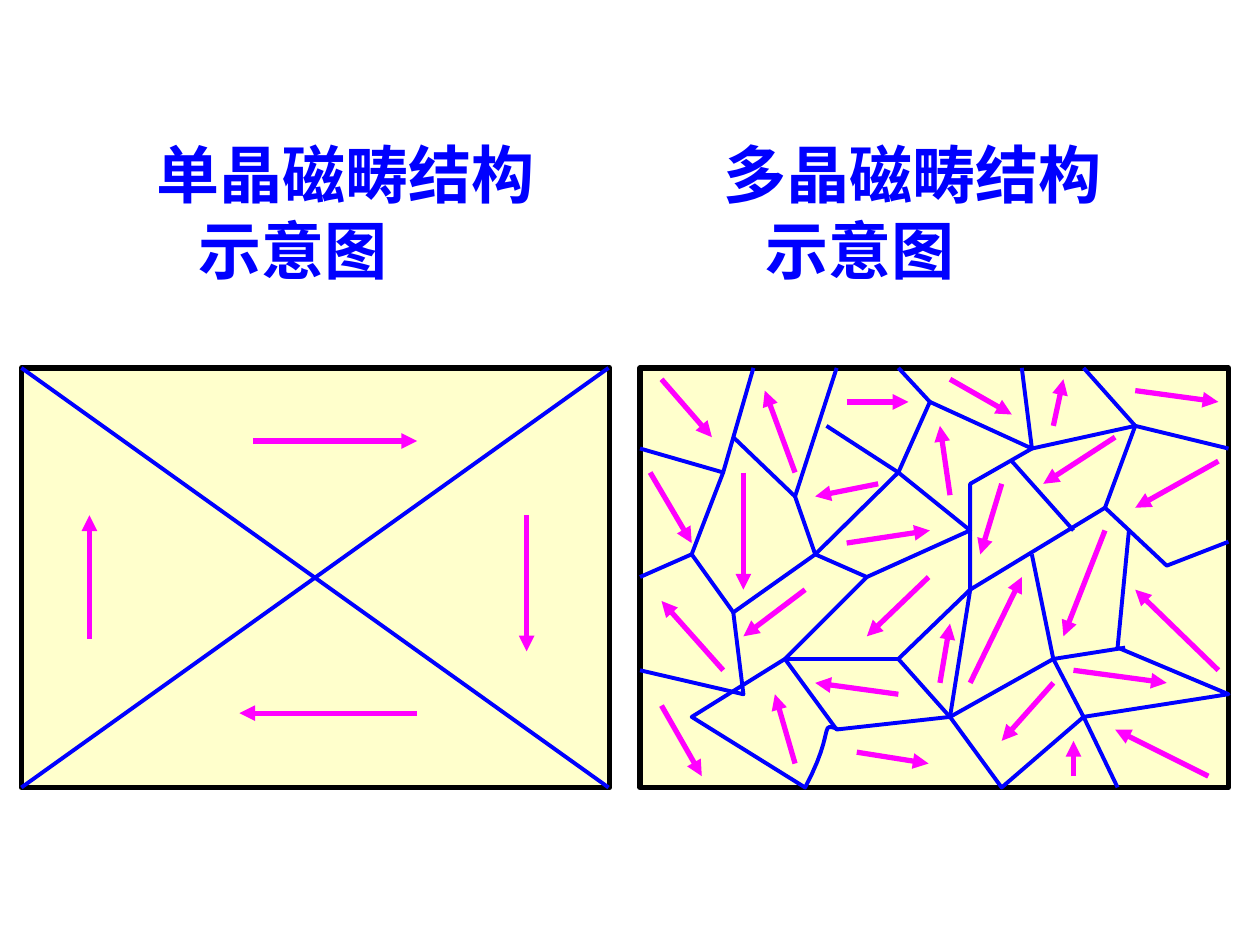
"""Build a slide comparing magnetic domains in single-crystal and polycrystalline material."""

from lxml.etree import SubElement
from pptx import Presentation
from pptx.dml.color import RGBColor
from pptx.enum.shapes import MSO_CONNECTOR, MSO_SHAPE
from pptx.oxml.ns import qn
from pptx.util import Pt

PX = 9144
COLORS = {"grain": "FFFFCC", "frame": "000000", "wall": "0000FF", "moment": "FF00FF"}
FONT = "TeX Gyre Bonum"
PANEL_TOP, PANEL_WIDTH, PANEL_HEIGHT = 292, 467, 333


def style_line(shape, color, width):
    shape.line.color.rgb = RGBColor.from_string(COLORS[color])
    shape.line.width = Pt(width)
    SubElement(shape._element.spPr, qn("a:effectLst"))


def add_line(shapes, ends, color, width):
    connector = shapes.add_connector(
        MSO_CONNECTOR.STRAIGHT, *[value * PX for point in ends for value in point]
    )
    style_line(connector, color, width)
    return connector


curve = [(639, 625), (664, 578), (649, 573), (666, 579)]
curve_points = []
for step in range(1, 13):
    t = step / 12
    weights = [(1 - t) ** 3, 3 * t * (1 - t) ** 2, 3 * t**2 * (1 - t), t**3]
    curve_points.append(
        tuple(sum(w * point[axis] for w, point in zip(weights, curve)) for axis in (0, 1))
    )

poly_walls = [
    [(508, 356), (574, 375), (598, 292)],
    [(582, 347), (631, 394), (664, 292)],
    [(574, 375), (549, 440), (508, 458)],
    [(549, 440), (582, 486), (647, 440), (631, 394)],
    [(656, 338), (713, 375), (647, 440)],
    [(713, 375), (770, 421), (688, 458), (647, 440)],
    [(713, 292), (738, 319), (713, 375)],
    [(738, 319), (819, 356), (811, 292)],
    [(819, 356), (770, 384), (770, 421)],
    [(901, 338), (975, 356)],
    [(877, 403), (926, 449), (975, 430)],
    [(770, 421), (770, 468), (877, 403)],
    [(819, 440), (836, 523), (754, 569), (713, 523), (770, 468)],
    [(688, 458), (623, 523), (713, 523)],
    [(896, 421), (887, 514), (975, 551), (860, 569), (887, 625)],
    [(893, 514), (836, 523), (860, 569), (795, 625), (754, 569),
     (664, 579), (623, 523), (549, 569), (639, 625), *curve_points],
    [(582, 486), (590, 551), (508, 532)],
    [(877, 403), (901, 338), (860, 292)],
    [(901, 338), (819, 356)],
    [(803, 366), (852, 421)],
    [(770, 468), (754, 569)],
]
poly_moments = [
    [(525, 301), (565, 347)], [(631, 375), (607, 310)], [(672, 319), (721, 319)],
    [(639, 468), (590, 505)], [(590, 375), (590, 468)], [(574, 532), (525, 477)],
    [(516, 375), (549, 431)], [(697, 384), (647, 394)], [(672, 431), (738, 421)],
    [(754, 301), (803, 329)], [(754, 393), (746, 338)], [(795, 384), (778, 440)],
    [(737, 458), (688, 505)], [(746, 542), (754, 495)], [(770, 542), (811, 458)],
    [(877, 421), (844, 505)], [(967, 532), (901, 468)], [(885, 347), (828, 384)],
    [(967, 366), (901, 403)], [(901, 310), (967, 319)], [(836, 338), (844, 301)],
    [(631, 606), (615, 551)], [(525, 560), (557, 616)], [(713, 551), (647, 542)],
    [(680, 597), (737, 606)], [(836, 542), (795, 588)], [(852, 532), (926, 542)],
    [(852, 616), (852, 588)], [(959, 616), (885, 579)],
]
single_walls = [[(17, 292), (483, 625)], [(483, 292), (17, 625)]]
single_moments = [
    [(201, 350), (331, 350)], [(71, 507), (71, 409)],
    [(418, 409), (418, 517)], [(331, 566), (190, 566)],
]
panels = [(508, poly_walls, poly_moments), (17, single_walls, single_moments)]
headings = [(114, "单晶磁畴结构"), (564, "多晶磁畴结构")]

presentation = Presentation()
presentation.slide_width = 1000 * PX
presentation.slide_height = 750 * PX
slide = presentation.slides.add_slide(presentation.slide_layouts[6])

for left, walls, moments in panels:
    shapes = slide.shapes.add_group_shape().shapes
    frame = shapes.add_shape(
        MSO_SHAPE.RECTANGLE, left * PX, PANEL_TOP * PX, PANEL_WIDTH * PX, PANEL_HEIGHT * PX
    )
    frame.fill.solid()
    frame.fill.fore_color.rgb = RGBColor.from_string(COLORS["grain"])
    style_line(frame, "frame", 3)

    for wall in walls:
        if len(wall) == 2:
            add_line(shapes, wall, "wall", 2.25)
            continue
        points = [(round(x * PX), round(y * PX)) for x, y in wall]
        builder = shapes.build_freeform(*points[0])
        builder.add_line_segments(points[1:], close=False)
        boundary = builder.convert_to_shape()
        boundary.fill.background()
        style_line(boundary, "wall", 2.25)

    for moment in moments:
        arrow = add_line(shapes, moment, "moment", 3)
        SubElement(arrow._element.spPr.find(qn("a:ln")), qn("a:tailEnd"), type="triangle")

for left, heading in headings:
    box = slide.shapes.add_textbox(left * PX, 103 * PX, 320 * PX, 130 * PX)
    text_frame = box.text_frame
    text_frame.word_wrap = False
    text_frame.text = f"{heading}\n示意图"
    text_frame.paragraphs[1]._p.get_or_add_pPr().set("marL", str(34 * PX))
    for paragraph in text_frame.paragraphs:
        paragraph.font.name = FONT
        paragraph.font.size = Pt(36)
        paragraph.font.bold = True
        paragraph.font.color.rgb = RGBColor.from_string(COLORS["wall"])

presentation.save("out.pptx")
